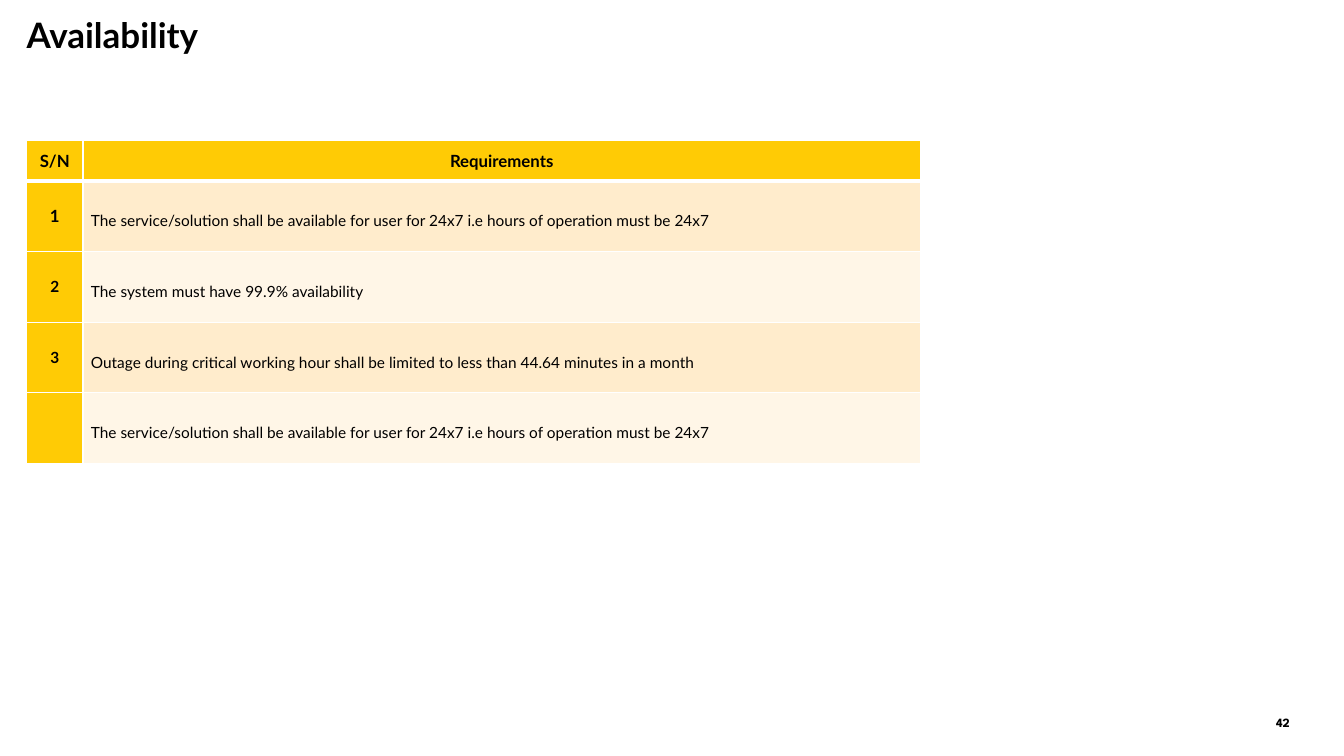
from lxml import etree
from pptx import Presentation
from pptx.dml.color import RGBColor
from pptx.enum.shapes import MSO_SHAPE
from pptx.enum.text import MSO_ANCHOR, PP_ALIGN
from pptx.oxml.ns import qn
from pptx.util import Cm, Pt

OVAL = MSO_SHAPE.OVAL
TOP = MSO_ANCHOR.TOP
MIDDLE = MSO_ANCHOR.MIDDLE
LEFT = PP_ALIGN.LEFT
CENTER = PP_ALIGN.CENTER

BLACK = RGBColor(0x00, 0x00, 0x00)
WHITE = RGBColor(0xFF, 0xFF, 0xFF)
YELLOW = RGBColor(0xFF, 0xCB, 0x05)
BANDS = [RGBColor(0xFF, 0xEC, 0xCC), RGBColor(0xFF, 0xF6, 0xE7)]

HEADINGS = ["S/N", "Requirements"]
REQUIREMENTS = [
    ("1", "The service/solution shall be available for user for 24x7 i.e hours of operation must be 24x7"),
    ("2", "The system must have 99.9% availability"),
    ("3", "Outage during critical working hour shall be limited to less than 44.64 minutes in a month"),
    ("", "The service/solution shall be available for user for 24x7 i.e hours of operation must be 24x7"),
]


def set_attributes(target, values):
    for name, value in values.items():
        setattr(target, name, value)


def write_text(text_frame, text, size, bold=True, alignment=CENTER, line_spacing=1.0, font_name="Lato"):
    paragraph = text_frame.paragraphs[0]
    paragraph.text = text
    set_attributes(paragraph, {"alignment": alignment, "line_spacing": line_spacing})
    set_attributes(paragraph.font, {"name": font_name, "size": Pt(size), "bold": bold})
    paragraph.font.color.rgb = BLACK


def set_frame(text_frame, anchor, left=0):
    set_attributes(text_frame, {
        "word_wrap": True, "vertical_anchor": anchor, "margin_left": left,
        "margin_right": 0, "margin_top": 0, "margin_bottom": 0,
    })


def add_title(slide, left, top, width, height):
    title = slide.shapes.title
    set_attributes(title, {"left": left, "top": top, "width": width, "height": height})
    set_frame(title.text_frame, TOP, Cm(0.34))
    write_text(title.text_frame, "Availability", 25, alignment=LEFT, line_spacing=0.9)


def add_page_number(slide, left, top, width, height):
    shape = slide.shapes.add_shape(OVAL, left, top, width, height)
    shape.shadow.inherit = False
    shape.fill.solid()
    shape.fill.fore_color.rgb = WHITE
    shape.line.fill.background()
    set_frame(shape.text_frame, MIDDLE)
    write_text(shape.text_frame, "42", 9, font_name="League Spartan")


def set_borders(cell, widths):
    properties = cell._tc.get_or_add_tcPr()
    for side, width in widths.items():
        line = etree.SubElement(properties, qn(f"a:ln{side}"), w=str(Pt(width)))
        fill = etree.SubElement(line, qn("a:solidFill"))
        etree.SubElement(fill, qn("a:srgbClr"), val=str(WHITE))


def format_cell(cell, color, top_border, bottom_border):
    set_borders(cell, {"L": 1, "R": 1, "T": top_border, "B": bottom_border})
    set_attributes(cell, {
        "vertical_anchor": MIDDLE, "margin_left": Cm(0.2), "margin_right": Cm(0.2),
        "margin_top": Cm(0.13), "margin_bottom": Cm(0.13),
    })
    cell.fill.solid()
    cell.fill.fore_color.rgb = color


def add_requirements_table(slide, left, top, width, height):
    rows = [HEADINGS, *REQUIREMENTS]
    table = slide.shapes.add_table(len(rows), 2, left, top, width, height).table
    number_width, header_height = Cm(1.42), Cm(1.02)
    table.columns[0].width = number_width
    table.columns[1].width = width - number_width
    for row_index, texts in enumerate(rows):
        is_header = row_index == 0
        row_height = (height - header_height) // len(REQUIREMENTS)
        table.rows[row_index].height = header_height if is_header else row_height
        for column_index, text in enumerate(texts):
            cell = table.cell(row_index, column_index)
            is_body = not is_header and column_index == 1
            color = BANDS[(row_index - 1) % 2] if is_body else YELLOW
            format_cell(cell, color, 3 if row_index == 1 else 1, 3 if is_header else 1)
            if is_body:
                write_text(cell.text_frame, text, 11, bold=False, alignment=LEFT, line_spacing=1.5)
            else:
                write_text(cell.text_frame, text, 12 if row_index < 2 else 11)


def main():
    presentation = Presentation()
    presentation.slide_width = Cm(33.87)
    presentation.slide_height = Cm(19.05)
    slide = presentation.slides.add_slide(presentation.slide_layouts[5])
    add_page_number(slide, Cm(31.47), Cm(17.86), Cm(1.73), Cm(0.69))
    add_title(slide, Cm(0.33), Cm(0.46), Cm(19.23), Cm(1.37))
    add_requirements_table(slide, Cm(0.67), Cm(3.54), Cm(22.53), Cm(8.14))
    presentation.save("out.pptx")


if __name__ == "__main__":
    main()
